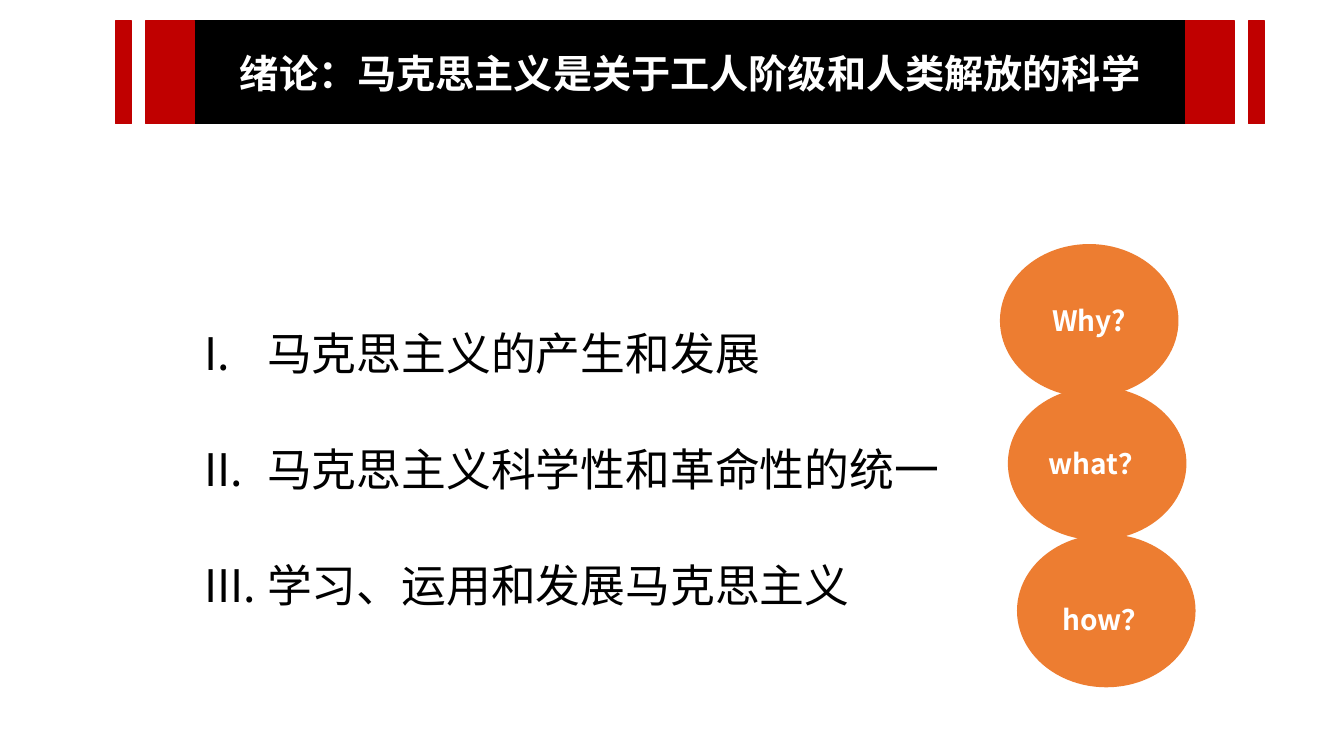
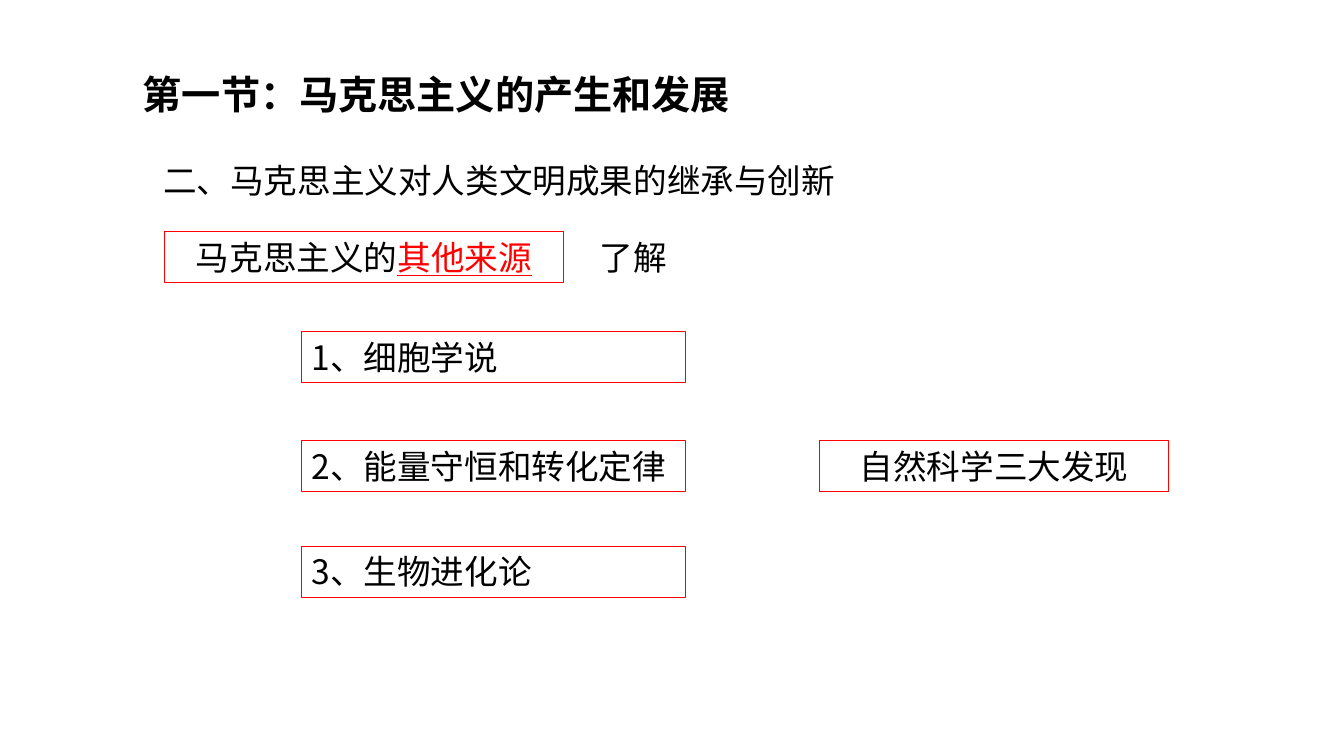
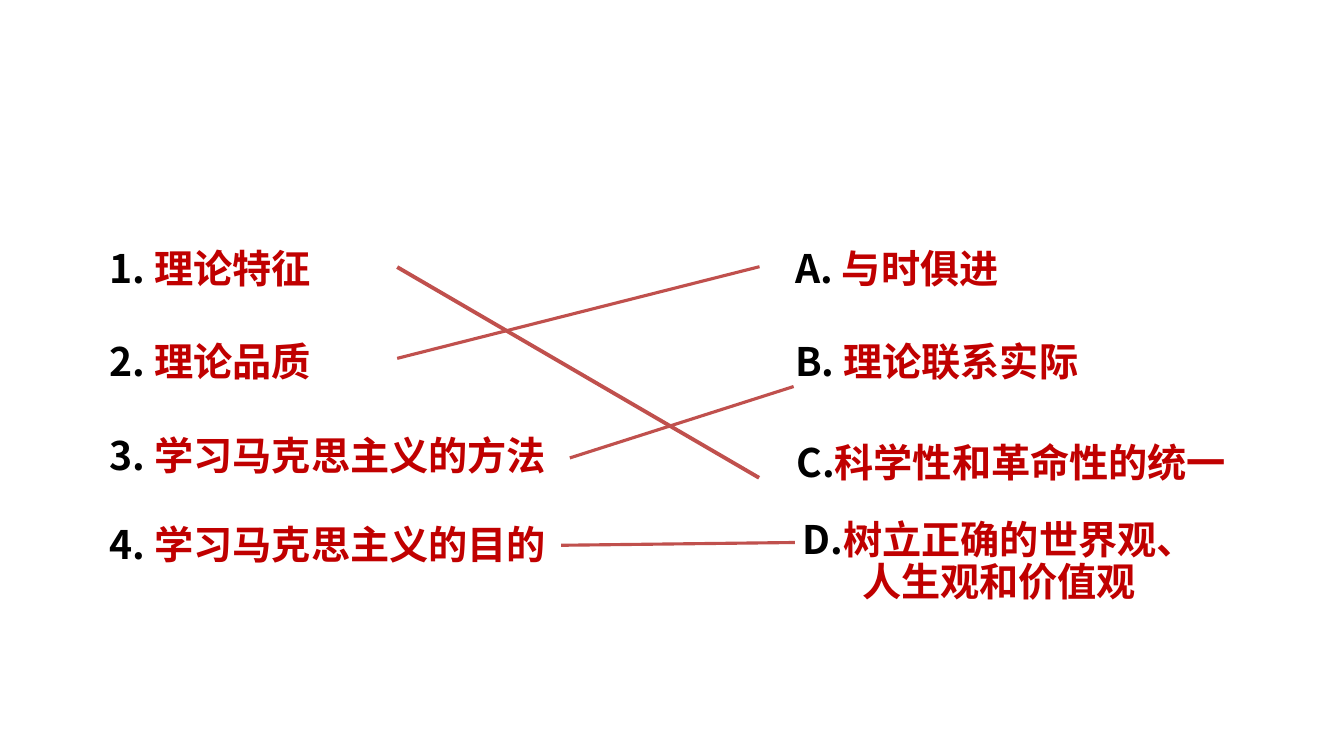
import pptx
import pptx.dml.color
import pptx.enum.shapes
import pptx.enum.text
import pptx.oxml.ns
import pptx.util
from lxml import etree

Cm, Pt = pptx.util.Cm, pptx.util.Pt
RGBColor = pptx.dml.color.RGBColor
Shape = pptx.enum.shapes.MSO_SHAPE
Anchor = pptx.enum.text.MSO_ANCHOR
Align = pptx.enum.text.PP_ALIGN
qn = pptx.oxml.ns.qn

BLACK = RGBColor(0x00, 0x00, 0x00)
WHITE = RGBColor(0xFF, 0xFF, 0xFF)
CRIMSON = RGBColor(0xC0, 0x00, 0x00)
RED = RGBColor(0xFF, 0x00, 0x00)
ORANGE = RGBColor(0xED, 0x7D, 0x31)
BRICK = RGBColor(0xC0, 0x50, 0x4D)
SANS = "Noto Sans CJK SC"

HEAD = {"size": Pt(28), "bold": True, "name": SANS}
BODY = {"size": Pt(24), "name": SANS}
LIST = {"size": Pt(32), "name": "Arial"}
DISC = {"size": Pt(20), "bold": True, "name": SANS}
PAD = {"margin_left": 0, "margin_right": 0, "margin_top": 0, "margin_bottom": 0}
MID = {"vertical_anchor": Anchor.MIDDLE}
CENTER = {"alignment": Align.CENTER}


def draw(shapes, kind, box, fill, edge=None):
    """Add a filled preset shape; box is left, top, width, height in cm."""
    item = shapes.add_shape(kind, *map(Cm, box))
    item.shadow.inherit = False
    item.fill.solid()
    item.fill.fore_color.rgb = fill
    if edge:
        item.line.color.rgb = edge
        item.line.width = Pt(1)
    else:
        item.line.fill.background()
    return item


def write(item, lines, font, frame={}, para={}):
    """Fill a shape with lines, each a list of (text, colour, underline)."""
    text = item.text_frame
    text.word_wrap = True
    for key, value in frame.items():
        setattr(text, key, value)
    for num, line in enumerate(lines):
        par = text.add_paragraph() if num else text.paragraphs[0]
        for key, value in para.items():
            setattr(par, key, value)
        for words, color, *under in line:
            run = par.add_run()
            run.text = words
            for key, value in font.items():
                setattr(run.font, key, value)
            run.font.color.rgb = color
            if under:
                run.font.underline = under[0]
            etree.SubElement(run.font._element, qn("a:ea"), typeface=SANS)
    return text


deck = pptx.Presentation()
deck.slide_width, deck.slide_height = Cm(33.87), Cm(19.05)
blank = deck.slide_layouts[6]

# Slide 1: contents
page = deck.slides.add_slide(blank).shapes
topics = ["马克思主义的产生和发展", "马克思主义科学性和革命性的统一", "学习、运用和发展马克思主义"]
item = page.add_textbox(Cm(4.9), Cm(6.73), Cm(20.27), Cm(12.3))
text = write(item, [[(topic, BLACK)] for topic in topics], LIST,
             para={"line_spacing": 2.0, "space_after": Pt(3)})
for num, par in enumerate(text.paragraphs):
    if num:
        par.space_before = Pt(3)
    props = par._p.get_or_add_pPr()
    props.set("marL", str(Cm(1.58)))
    props.set("indent", str(-Cm(1.58)))
    etree.SubElement(props, qn("a:buFont"), typeface="Arial")
    etree.SubElement(props, qn("a:buAutoNum"), type="romanUcPeriod")

banner = page.add_group_shape().shapes
axis, top, high = 17.39, 0.53, 2.59
item = draw(banner, Shape.RECTANGLE, (axis - 12.48, top, 24.96, high), BLACK, BLACK)
write(item, [[("绪论：马克思主义是关于工人阶级和人类解放的科学", WHITE)]], HEAD, MID, CENTER)
for gap, wide in [(12.48, 1.24), (14.07, 0.41)]:
    for left in (axis - gap - wide, axis + gap):
        draw(banner, Shape.RECTANGLE, (left, top, wide, high), CRIMSON, CRIMSON)

for words, left, top, space in [("Why?", 25.2, 6.15, 1.0), ("what？", 25.4, 9.75, 1.0),
                                ("how？", 25.63, 13.46, 1.5)]:
    item = draw(page, Shape.OVAL, (left, top, 4.5, 3.86), ORANGE)
    write(item, [[(words, WHITE)]], DISC, PAD | MID, CENTER | {"line_spacing": space})

# Slide 2: sources
page = deck.slides.add_slide(blank).shapes
item = page.add_textbox(Cm(3.35), Cm(1.65), Cm(18.39), Cm(1.45))
write(item, [[("第一节：马克思主义的产生和发展", BLACK)]], HEAD)
for words, left, top, wide in [("二、马克思主义对人类文明成果的继承与创新", 3.86, 3.91, 20.4),
                               ("了解", 14.86, 5.84, 2.41)]:
    item = page.add_textbox(Cm(left), Cm(top), Cm(wide), Cm(1.28))
    write(item, [[(words, BLACK)]], BODY)

framed = [
    ([("马克思主义的", BLACK), ("其他来源", RED, True)], 4.14, 5.84, 10.06, CENTER),
    ([("1、细胞学说", BLACK)], 7.6, 8.36, 9.68, {}),
    ([("2、能量守恒和转化定律", BLACK)], 7.6, 11.1, 9.68, {}),
    ([("3、生物进化论", BLACK)], 7.6, 13.77, 9.68, {}),
    ([("自然科学三大发现", BLACK)], 20.65, 11.1, 8.81, CENTER),
]
for line, left, top, wide, para in framed:
    item = page.add_textbox(Cm(left), Cm(top), Cm(wide), Cm(1.28))
    item.line.color.rgb = RED
    item.line.width = Pt(0.75)
    write(item, [line], BODY, para=para)

# Slide 3: matching
page = deck.slides.add_slide(blank).shapes
tight = CENTER | {"line_spacing": 0.9}
terms = [
    ("1. ", ["理论特征"], 2.77, 6.15, 10.19, {}),
    ("2. ", ["理论品质"], 2.77, 8.51, 10.19, {}),
    ("3. ", ["学习马克思主义的方法"], 2.77, 10.87, 12.57, {}),
    ("4. ", ["学习马克思主义的目的"], 2.77, 13.11, 12.57, {}),
    ("A. ", ["与时俱进"], 20.04, 6.15, 11.23, {}),
    ("B. ", ["理论联系实际"], 20.04, 8.51, 8.13, {}),
    ("C.", ["科学性和革命性的统一"], 19.15, 11.18, 12.67, tight),
    ("D.", ["树立正确的世界观、", "人生观和价值观"], 18.54, 13.11, 13.28, tight),
]
for mark, words, left, top, wide, para in terms:
    item = page.add_textbox(Cm(left), Cm(top), Cm(wide), Cm(1.2 * len(words)))
    lines = [[(part, CRIMSON)] for part in words]
    lines[0].insert(0, (mark, BLACK))
    write(item, lines, HEAD, PAD, para)

for *ends, wide in [(10.01, 6.73, 19.13, 12.04, 2.75), (10.01, 9.03, 19.14, 6.72, 2.25),
                    (14.36, 11.54, 20.0, 9.74, 2.25), (14.14, 13.74, 20.03, 13.67, 2.25)]:
    link = page.add_connector(pptx.enum.shapes.MSO_CONNECTOR.STRAIGHT, *map(Cm, ends))
    link.line.color.rgb = BRICK
    link.line.width = Pt(wide)
    etree.SubElement(link._element.spPr, qn("a:effectLst"))

deck.save("out.pptx")
